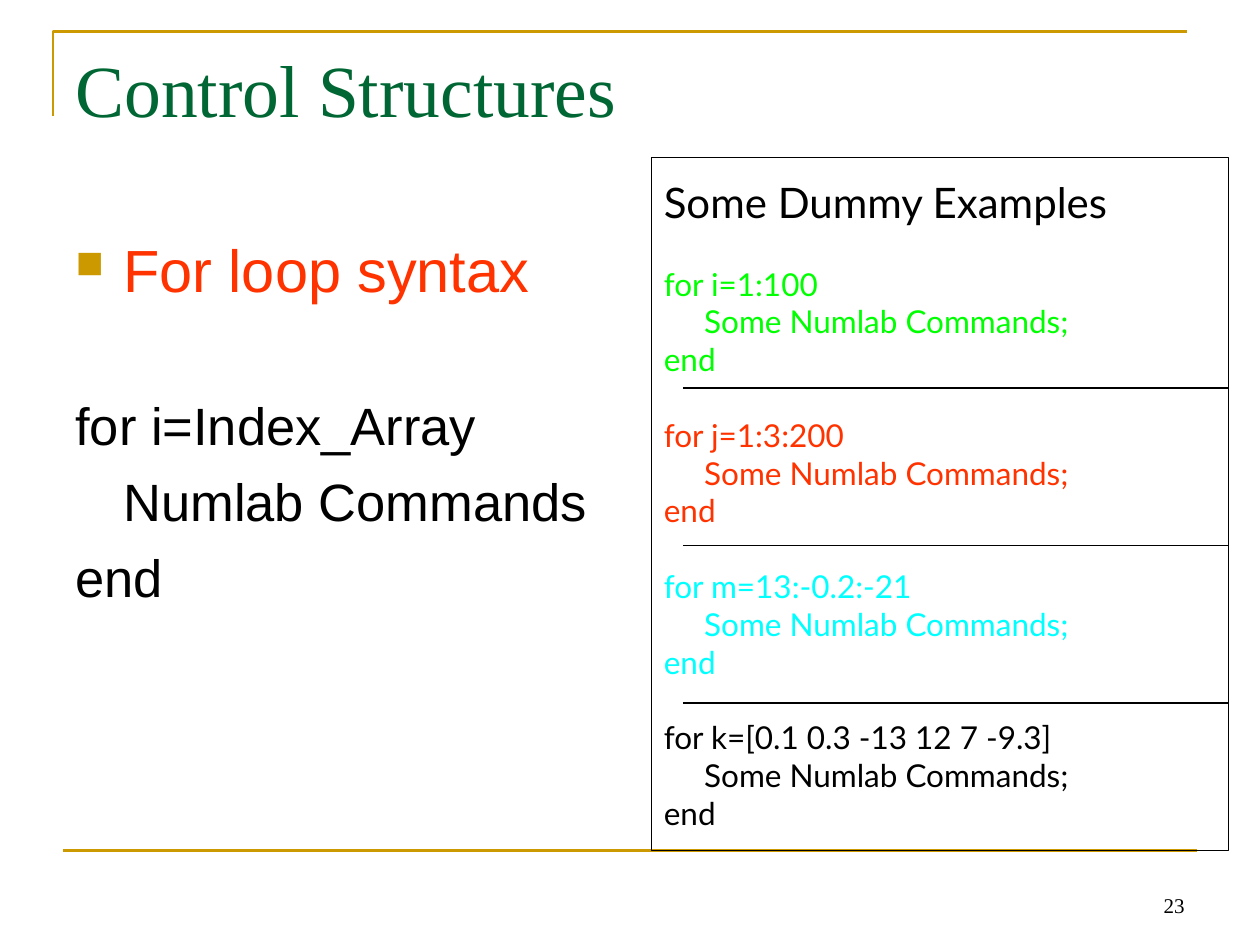
from lxml import etree
from pptx import Presentation
from pptx.dml.color import RGBColor
from pptx.enum.shapes import MSO_CONNECTOR as Connector, MSO_SHAPE as Shape
from pptx.enum.text import MSO_ANCHOR as Anchor, PP_ALIGN as Align
from pptx.oxml.ns import qn
from pptx.util import Inches, Pt

COLORS = {
    "gold": "CC9900",
    "title": "006633",
    "red": "FF3300",
    "green": "00FF00",
    "cyan": "00FFFF",
    "black": "000000",
}
LOOPS = [
    ("for i=1:100", "green"),
    ("for j=1:3:200", "red"),
    ("for m=13:-0.2:-21", "cyan"),
    ("for k=[0.1 0.3 -13 12 7 -9.3]", "black"),
]


def rgb(name):
    return RGBColor.from_string(COLORS[name])


def style_line(shape, color, width):
    shape.line.color.rgb = rgb(color)
    shape.line.width = Pt(width)


def add_line(shapes, x1, y1, x2, y2, color, width):
    line = shapes.add_connector(
        Connector.STRAIGHT, Inches(x1), Inches(y1), Inches(x2), Inches(y2))
    style_line(line, color, width)
    etree.SubElement(line._element.spPr, qn("a:effectLst"))


def add_text_frame(slide, left, top, width, height, anchor=Anchor.TOP):
    box = slide.shapes.add_textbox(
        Inches(left), Inches(top), Inches(width), Inches(height))
    frame = box.text_frame
    frame.word_wrap = True
    frame.vertical_anchor = anchor
    return frame


def write(frame, text, font, size, color, before=0, indent=0, align=Align.LEFT):
    first = frame.paragraphs[0]
    paragraph = frame.add_paragraph() if first.runs else first
    paragraph.add_run().text = text
    paragraph.alignment = align
    paragraph.space_before = Pt(before)
    paragraph.font.name = font
    paragraph.font.size = Pt(size)
    paragraph.font.color.rgb = rgb(color)
    paragraph._p.get_or_add_pPr().set("marL", str(Inches(indent)))
    return paragraph


def add_bullet(paragraph, hanging):
    properties = paragraph._p.get_or_add_pPr()
    properties.set("indent", str(-Inches(hanging)))
    bullet_color = etree.Element(qn("a:buClr"))
    etree.SubElement(bullet_color, qn("a:srgbClr"), val=COLORS["gold"])
    bullet_size = etree.Element(qn("a:buSzPct"), val="65000")
    bullet = etree.Element(qn("a:buChar"), char="■")
    for position, element in enumerate((bullet_color, bullet_size, bullet), 1):
        properties.insert(position, element)


def add_frame_lines(slide, left, top, width):
    builder = slide.shapes.build_freeform(Inches(left), Inches(top + 0.67))
    builder.add_line_segments(
        [(Inches(left), Inches(top)), (Inches(left + width), Inches(top))],
        close=False)
    corner = builder.convert_to_shape()
    corner.shadow.inherit = False
    corner.fill.background()
    style_line(corner, "gold", 1.5)
    add_line(slide.shapes, left + 0.08, top + 6.5, left + 0.08 + width,
             top + 6.5, "gold", 1.5)


def add_title(slide, left, top, width, height):
    frame = add_text_frame(slide, left, top, width, height)
    write(frame, "Control Structures", "Times New Roman", 42, "title")


def add_syntax(slide, left, top, width, height):
    frame = add_text_frame(slide, left, top, width, height)
    frame.margin_top = Inches(0.1)
    heading = write(frame, "For loop syntax", "Arial", 34, "red", indent=0.38)
    add_bullet(heading, 0.38)
    write(frame, "for i=Index_Array", "Arial", 30, "black", before=50.5)
    write(frame, "Numlab Commands", "Arial", 30, "black", before=7.5, indent=0.38)
    write(frame, "end", "Arial", 30, "black", before=7.5)


def add_examples(slide, left, top, width, height):
    group = slide.shapes.add_group_shape()
    panel = group.shapes.add_shape(
        Shape.RECTANGLE, Inches(left), Inches(top), Inches(width), Inches(height))
    panel.shadow.inherit = False
    panel.fill.background()
    style_line(panel, "black", 0.75)
    frame = panel.text_frame
    frame.word_wrap = True
    frame.vertical_anchor = Anchor.MIDDLE
    write(frame, "Some Dummy Examples", "Lato", 24, "black")
    for loop, color in LOOPS:
        write(frame, loop, "Lato", 18, color, before=21.6)
        write(frame, "Some Numlab Commands;", "Lato", 18, color, indent=0.32)
        write(frame, "end", "Lato", 18, color)
    for index in range(len(LOOPS) - 1):
        y = top + 1.83 + 1.25 * index
        add_line(group.shapes, left + 0.25, y, left + width, y, "black", 0.75)


def add_page_number(slide, left, top, width, height):
    frame = add_text_frame(slide, left, top, width, height, Anchor.BOTTOM)
    write(frame, "23", "Times New Roman", 12, "black", align=Align.RIGHT)


def main():
    presentation = Presentation()
    presentation.slide_width = Inches(10)
    presentation.slide_height = Inches(7.5)
    slide = presentation.slides.add_slide(presentation.slide_layouts[6])
    add_frame_lines(slide, 0.42, 0.25, 9)
    add_title(slide, 0.5, 0.3, 9, 1.25)
    add_syntax(slide, 0.5, 1.75, 9, 4.95)
    add_examples(slide, 5.17, 1.25, 4.58, 5.5)
    add_page_number(slide, 7.17, 6.83, 2.33, 0.5)
    presentation.save("out.pptx")


if __name__ == "__main__":
    main()
